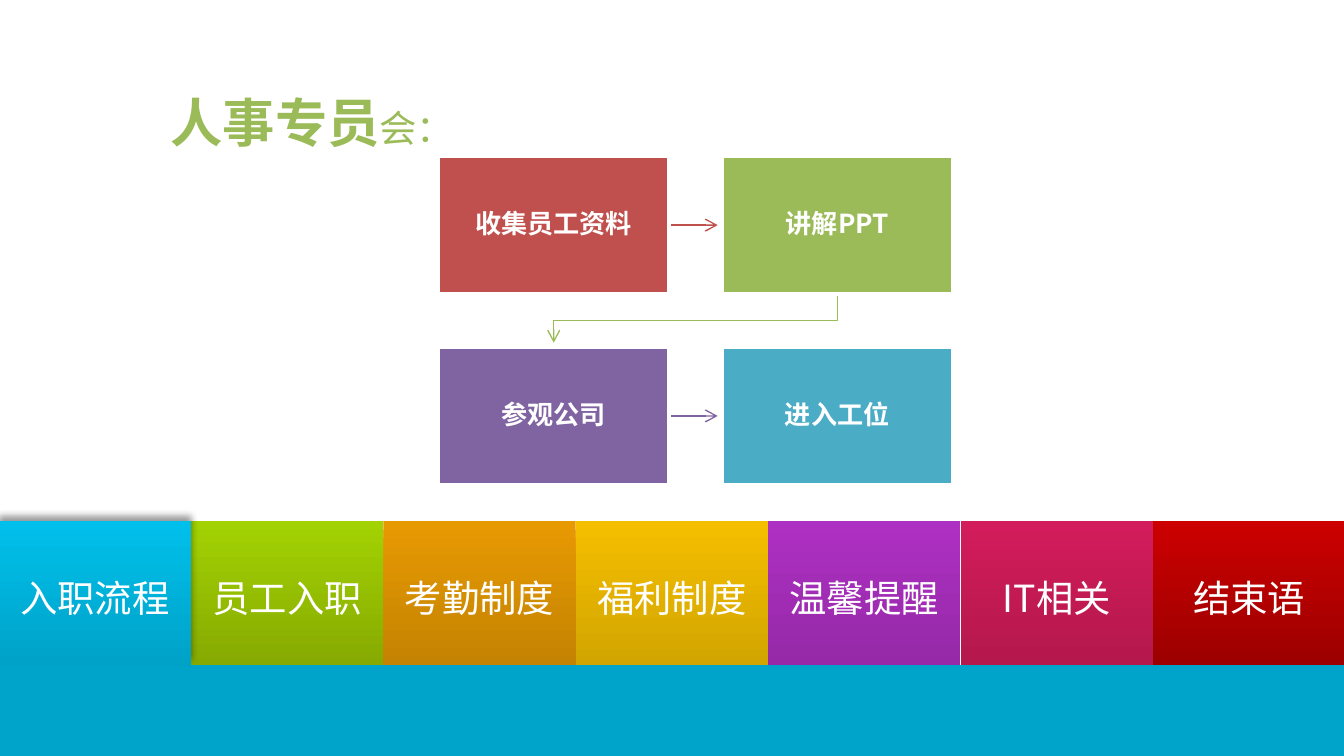
from lxml import etree
from pptx import Presentation
from pptx.dml.color import RGBColor
from pptx.enum.shapes import MSO_CONNECTOR, MSO_SHAPE
from pptx.enum.text import MSO_ANCHOR, PP_ALIGN
from pptx.oxml.ns import qn
from pptx.util import Inches, Pt

RECTANGLE = MSO_SHAPE.RECTANGLE
STRAIGHT = MSO_CONNECTOR.STRAIGHT
MIDDLE, TOP = MSO_ANCHOR.MIDDLE, MSO_ANCHOR.TOP
CENTER, LEFT = PP_ALIGN.CENTER, PP_ALIGN.LEFT

FONT = "Noto Sans CJK SC"
WHITE = RGBColor(0xFF, 0xFF, 0xFF)
RED = RGBColor(0xC0, 0x50, 0x4D)
GREEN = RGBColor(0x9B, 0xBB, 0x59)
PURPLE = RGBColor(0x80, 0x64, 0xA2)
TEAL = RGBColor(0x4B, 0xAC, 0xC6)
FOOTER_BLUE = RGBColor(0x00, 0xA3, 0xC9)

TITLE_RUNS = [("人事专员", 28, True), ("会：", 20, False)]
STEPS = [
    ("收集员工资料", RED),
    ("讲解PPT", GREEN),
    ("参观公司", PURPLE),
    ("进入工位", TEAL),
]
TABS = [
    ("入职流程", "00C0EB", "00A2C8"),
    ("员工入职", "A3D202", "86AA02"),
    ("考勤制度", "E79902", "C48302"),
    ("福利制度", "F5BE00", "D2A500"),
    ("温馨提醒", "AE30C3", "9529A7"),
    ("IT相关", "D31C5B", "B4184C"),
    ("结束语", "CC0000", "9C0000"),
]
ACTIVE_TAB = 0

SLIDE_WIDTH = 10
SLIDE_HEIGHT = SLIDE_WIDTH * 9 / 16
TAB_LEFT, TAB_TOP, TAB_HEIGHT = -0.01, 3.88, 1.07
TAB_WIDTH = (SLIDE_WIDTH - 2 * TAB_LEFT) / len(TABS)
FOOTER_TOP = TAB_TOP + TAB_HEIGHT
STEP_LEFT, STEP_TOP = 3.26, 1.16
STEP_WIDTH, STEP_HEIGHT = 1.72, 1.03
COLUMN_PITCH, ROW_PITCH = 2.11, 1.42
ARROW_LENGTH = 0.36


def style_font(font, size, color, bold=False):
    font.name = FONT
    font.size = Pt(size)
    font.bold = bold
    font.color.rgb = color
    etree.SubElement(font._rPr, qn("a:ea"), typeface=FONT)


def add_rectangle(slide, left, top, width, height):
    shape = slide.shapes.add_shape(
        RECTANGLE, Inches(left), Inches(top), Inches(width), Inches(height))
    shape.shadow.inherit = False
    shape.line.fill.background()
    return shape


def write_centered(shape, text, size, bold, inset):
    frame = shape.text_frame
    frame.word_wrap = True
    frame.vertical_anchor = MIDDLE
    frame.margin_left = frame.margin_right = Inches(inset)
    paragraph = frame.paragraphs[0]
    paragraph.text = text
    paragraph.alignment = CENTER
    style_font(paragraph.font, size, WHITE, bold)
    return frame


def add_title(slide):
    title = slide.shapes.title
    title.left, title.top = Inches(1.17), Inches(0.62)
    title.width, title.height = Inches(2.4), Inches(0.57)
    title.text_frame.vertical_anchor = TOP
    paragraph = title.text_frame.paragraphs[0]
    paragraph.alignment = LEFT
    for text, size, bold in TITLE_RUNS:
        run = paragraph.add_run()
        run.text = text
        style_font(run.font, size, GREEN, bold)


def add_tab(slide, index):
    text, top_color, bottom_color = TABS[index]
    tab = add_rectangle(
        slide, TAB_LEFT + index * TAB_WIDTH, TAB_TOP, TAB_WIDTH, TAB_HEIGHT)
    tab.fill.gradient()
    tab.fill.gradient_angle = 270
    for stop, position, color in zip(
            tab.fill.gradient_stops, (0, 1), (top_color, bottom_color)):
        stop.position = position
        stop.color.rgb = RGBColor.from_string(color)
    frame = write_centered(tab, text, 20, False, 0.1)
    frame.margin_top, frame.margin_bottom = Inches(0.07), Inches(0)
    return tab


def add_upward_shadow(shape):
    effects = shape._element.spPr.find(qn("a:effectLst"))
    shadow = etree.SubElement(
        effects, qn("a:outerShdw"), blurRad=str(Pt(4)), dist=str(Pt(3)),
        dir="16200000", rotWithShape="0")
    color = etree.SubElement(shadow, qn("a:srgbClr"), val="000000")
    etree.SubElement(color, qn("a:alpha"), val="40000")


def style_arrow(arrow, color):
    arrow.line.color.rgb = color
    arrow.line.width = Pt(0.75)
    etree.SubElement(arrow.line._get_or_add_ln(), qn("a:tailEnd"), type="arrow")


def add_row_arrow(slide, row, color):
    start = STEP_LEFT + STEP_WIDTH
    middle = STEP_TOP + row * ROW_PITCH + STEP_HEIGHT / 2
    arrow = slide.shapes.add_connector(
        STRAIGHT, Inches(start), Inches(middle),
        Inches(start + ARROW_LENGTH), Inches(middle))
    style_arrow(arrow, color)
    etree.SubElement(arrow._element.spPr, qn("a:effectLst"))


def add_return_arrow(slide, color):
    target = STEP_LEFT + STEP_WIDTH / 2
    source = target + COLUMN_PITCH
    start = STEP_TOP + STEP_HEIGHT
    turn = start + (ROW_PITCH - STEP_HEIGHT) / 2
    corners = [(source, start), (source, turn), (target, turn),
               (target, start + ARROW_LENGTH)]
    points = [(Inches(x), Inches(y)) for x, y in corners]
    builder = slide.shapes.build_freeform(*points[0])
    builder.add_line_segments(points[1:], close=False)
    arrow = builder.convert_to_shape()
    arrow.shadow.inherit = False
    arrow.fill.background()
    style_arrow(arrow, color)


def add_step(slide, index):
    text, color = STEPS[index]
    row, column = divmod(index, 2)
    step = add_rectangle(
        slide, STEP_LEFT + column * COLUMN_PITCH, STEP_TOP + row * ROW_PITCH,
        STEP_WIDTH, STEP_HEIGHT)
    step.fill.solid()
    step.fill.fore_color.rgb = color
    step.line.color.rgb = WHITE
    step.line.width = Pt(2)
    frame = write_centered(step, text, 14, True, 0.11)
    frame.margin_top = frame.margin_bottom = Inches(0.11)
    frame.paragraphs[0].line_spacing = 0.9


def main():
    presentation = Presentation()
    presentation.slide_width = Inches(SLIDE_WIDTH)
    presentation.slide_height = Inches(SLIDE_HEIGHT)
    slide = presentation.slides.add_slide(presentation.slide_layouts[5])
    add_title(slide)

    for index in range(len(TABS)):
        if index != ACTIVE_TAB:
            add_tab(slide, index)
    footer = add_rectangle(
        slide, 0, FOOTER_TOP, SLIDE_WIDTH, SLIDE_HEIGHT - FOOTER_TOP)
    footer.fill.solid()
    footer.fill.fore_color.rgb = FOOTER_BLUE
    add_upward_shadow(add_tab(slide, ACTIVE_TAB))

    add_row_arrow(slide, 0, RED)
    add_return_arrow(slide, GREEN)
    add_row_arrow(slide, 1, PURPLE)
    for index in range(len(STEPS)):
        add_step(slide, index)

    presentation.save("out.pptx")


if __name__ == "__main__":
    main()
